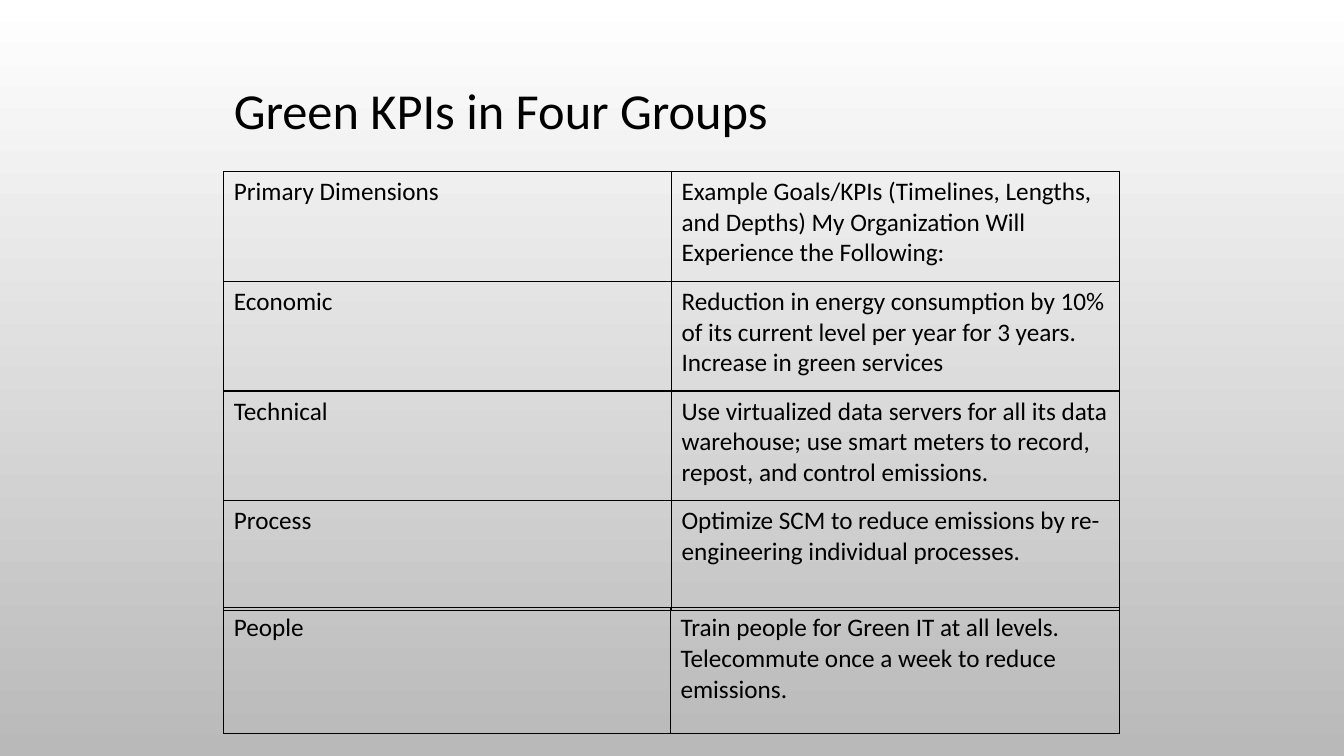
from lxml import etree
from pptx import Presentation
from pptx.dml.color import RGBColor
from pptx.oxml.ns import qn
from pptx.util import Inches, Pt

TITLE = "Green KPIs in Four Groups"
MAIN_ROWS = [
    ("Primary Dimensions",
     "Example Goals/KPIs (Timelines, Lengths, and Depths) My Organization Will "
     "Experience the Following:"),
    ("Economic",
     "Reduction in energy consumption by 10% of its current level per year for "
     "3 years. Increase in green services"),
    ("Technical",
     "Use virtualized data servers for all its data warehouse; use smart meters "
     "to record, repost, and control emissions."),
    ("Process",
     "Optimize SCM to reduce emissions by re-engineering individual processes."),
]
PEOPLE_ROWS = [
    ("People",
     "Train people for Green IT at all levels. Telecommute once a week to reduce "
     "emissions."),
]
TABLES = [
    (MAIN_ROWS, 1.7, 1.09, (4.44, 4.44)),
    (PEOPLE_ROWS, 6.03, 1.25, (4.43, 4.45)),
]
LEFT = 2.22
FONT = "Calibri"
BLACK = "000000"
GRADIENT = ("FFFFFF", "B9B9B9")
BORDERS = ("a:lnL", "a:lnR", "a:lnT", "a:lnB")


def rgb(value):
    return RGBColor.from_string(value)


def style_text(tf, size):
    for p in tf.paragraphs:
        for r in p.runs:
            r.font.name = FONT
            r.font.size = Pt(size)
            r.font.color.rgb = rgb(BLACK)


def add_borders(cell):
    tcPr = cell._tc.get_or_add_tcPr()
    for i, tag in enumerate(BORDERS):
        ln = etree.Element(qn(tag), w=str(Pt(1)))
        fill = etree.SubElement(ln, qn("a:solidFill"))
        etree.SubElement(fill, qn("a:srgbClr"), val=BLACK)
        tcPr.insert(i, ln)


def add_grid(s, rows, top, row_height, widths):
    frame = s.shapes.add_table(
        len(rows), len(widths), Inches(LEFT), Inches(top),
        Inches(sum(widths)), Inches(row_height * len(rows)))
    table = frame.table
    table.first_row = False
    table.horz_banding = False
    for column, width in zip(table.columns, widths):
        column.width = Inches(width)
    for row, texts in zip(table.rows, rows):
        row.height = Inches(row_height)
        for cell, text in zip(row.cells, texts):
            cell.text_frame.text = text
            style_text(cell.text_frame, 18)
            cell.fill.background()
            add_borders(cell)


def main():
    prs = Presentation()
    prs.slide_width, prs.slide_height = Inches(13.33), Inches(7.5)
    s = prs.slides.add_slide(prs.slide_layouts[6])

    fill = s.background.fill
    fill.gradient()
    fill.gradient_angle = 270
    for stop, color in zip(fill.gradient_stops, GRADIENT):
        stop.color.rgb = rgb(color)

    sp = s.shapes.add_textbox(Inches(LEFT), Inches(0.74), Inches(6.75), Inches(0.71))
    tf = sp.text_frame
    tf.word_wrap = True
    tf.text = TITLE
    style_text(tf, 36)

    for rows, top, row_height, widths in TABLES:
        add_grid(s, rows, top, row_height, widths)

    prs.save("out.pptx")


if __name__ == "__main__":
    main()
